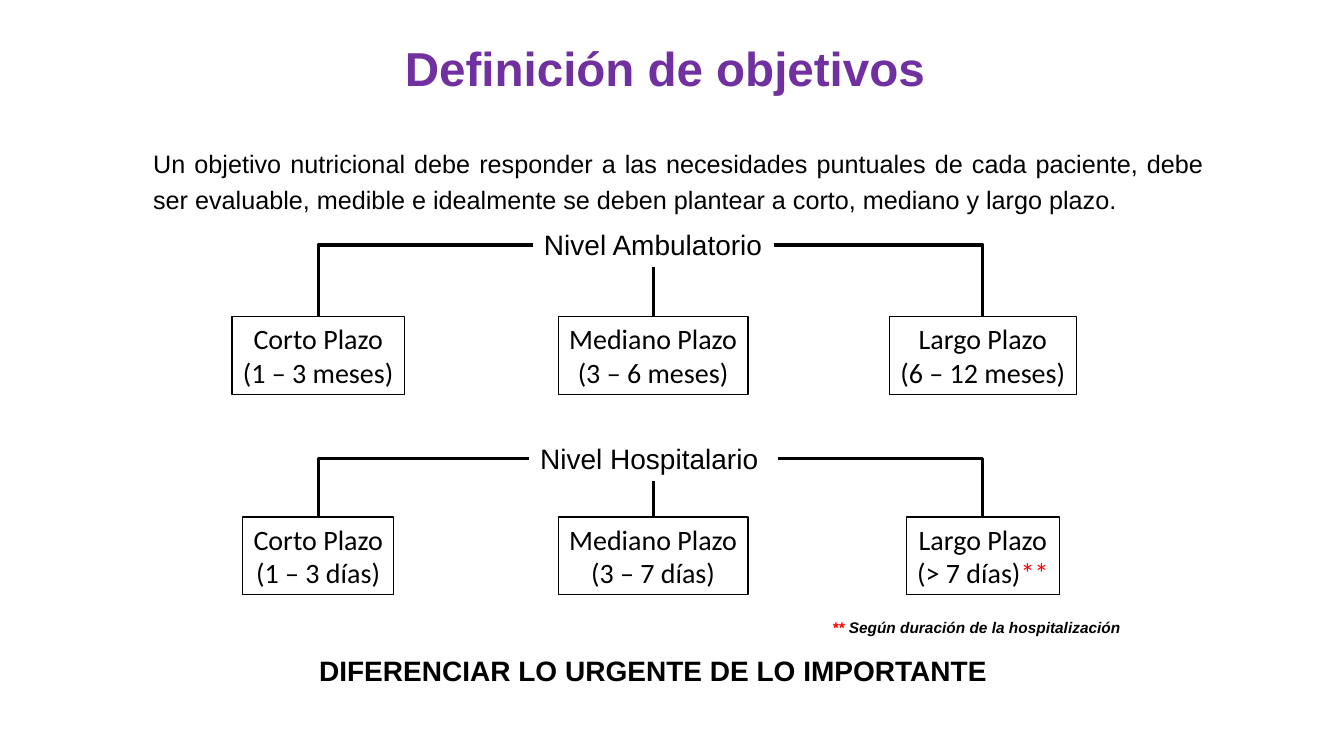
from dataclasses import dataclass

from lxml.etree import SubElement
from pptx import Presentation
from pptx.dml.color import RGBColor
from pptx.enum.shapes import MSO_CONNECTOR, MSO_SHAPE
from pptx.enum.text import MSO_ANCHOR, PP_ALIGN
from pptx.oxml.ns import qn
from pptx.util import Cm, Pt


@dataclass(frozen=True)
class Theme:
    black: RGBColor = RGBColor(0, 0, 0)
    white: RGBColor = RGBColor(255, 255, 255)
    red: RGBColor = RGBColor(255, 0, 0)
    purple: RGBColor = RGBColor(0x70, 0x30, 0xA0)
    head: str = "Arial"
    body: str = "Calibri"
    title: int = 34
    intro: int = 18
    text: int = 20
    note: int = 11
    frame: float = 1
    link: float = 2.25


THEME = Theme()
CENTERS = (8.02, 16.46, 24.77)
MIDDLE = CENTERS[1]
LABEL_H = 1.11
BOX_H = 1.96

# label, its top and width, top of the boxes, then (width, term, span, mark) of each box
LEVELS = (
    ("Nivel Ambulatorio", 5.62, 6.07, 7.98, (
        (4.34, "Corto Plazo", "(1 – 3 meses)", ""),
        (4.78, "Mediano Plazo", "(3 – 6 meses)", ""),
        (4.72, "Largo Plazo", "(6 – 12 meses)", ""))),
    ("Nivel Hospitalario ", 11, 6.27, 13.03, (
        (3.81, "Corto Plazo", "(1 – 3 días)", ""),
        (4.78, "Mediano Plazo", "(3 – 7 días)", ""),
        (3.86, "Largo Plazo", "(> 7 días)", "**"))),
)


def add_run(para, text, size, face=THEME.head, color=THEME.black, bold=False, slant=False):
    run = para.add_run()
    run.text = text
    font = run.font
    font.name, font.size = face, Pt(size)
    font.bold, font.italic = bold, slant
    font.color.rgb = color


def add_text(slide, left, top, width, height, align, wrap=True):
    """Add a text box and return its first paragraph."""
    box = slide.shapes.add_textbox(Cm(left), Cm(top), Cm(width), Cm(height))
    box.text_frame.word_wrap = wrap
    para = box.text_frame.paragraphs[0]
    para.alignment = align
    return para


def add_rect(slide, left, top, width, height, wrap, edge=None):
    """Add a white rectangle and return its text frame."""
    rect = slide.shapes.add_shape(
        MSO_SHAPE.RECTANGLE, Cm(left), Cm(top), Cm(width), Cm(height))
    rect.shadow.inherit = False
    rect.fill.solid()
    rect.fill.fore_color.rgb = THEME.white
    if edge:
        rect.line.color.rgb = THEME.black
        rect.line.width = Pt(edge)
    else:
        rect.line.fill.background()
    frame = rect.text_frame
    frame.word_wrap = wrap
    frame.vertical_anchor = MSO_ANCHOR.MIDDLE
    return frame


def add_term(slide, center, top, width, term, span, mark):
    frame = add_rect(slide, center - width / 2, top, width, BOX_H, False, THEME.frame)
    first, second = frame.paragraphs[0], frame.add_paragraph()
    first.alignment = second.alignment = PP_ALIGN.CENTER
    add_run(first, term, THEME.text, THEME.body)
    add_run(second, span, THEME.text, THEME.body)
    if mark:
        add_run(second, mark, THEME.text, THEME.body, THEME.red)


def add_link(slide, x1, y1, x2, y2):
    """Join two points, with a single corner unless they are in line."""
    kind = MSO_CONNECTOR.STRAIGHT if x1 == x2 else MSO_CONNECTOR.ELBOW
    link = slide.shapes.add_connector(kind, Cm(x1), Cm(y1), Cm(x2), Cm(y2))
    link.line.color.rgb = THEME.black
    link.line.width = Pt(THEME.link)
    props = link._element.spPr
    if x1 != x2:
        props.find(qn("a:prstGeom")).set("prst", "bentConnector2")
    SubElement(props, qn("a:effectLst"))


def add_level(slide, label, top, width, row, terms):
    para = add_text(slide, MIDDLE - width / 2, top, width, LABEL_H, PP_ALIGN.CENTER, False)
    add_run(para, label, THEME.text)
    for center, term in zip(CENTERS, terms):
        add_term(slide, center, row, *term)
    side = top + LABEL_H / 2
    starts = (
        (MIDDLE - width / 2, side),
        (MIDDLE, top + LABEL_H),
        (MIDDLE + width / 2, side),
    )
    for start, center in zip(starts, CENTERS):
        add_link(slide, *start, center, row)


def set_title(slide, text):
    title = slide.shapes.title
    title.left, title.top, title.width, title.height = Cm(4.06), Cm(1.02), Cm(25.4), Cm(2.77)
    title.text_frame.vertical_anchor = MSO_ANCHOR.TOP
    para = title.text_frame.paragraphs[0]
    para.alignment = PP_ALIGN.CENTER
    para.line_spacing = 0.9
    add_run(para, text, THEME.title, color=THEME.purple, bold=True)


def main():
    deck = Presentation()
    deck.slide_width, deck.slide_height = Cm(33.87), Cm(19.05)
    slide = deck.slides.add_slide(deck.slide_layouts.get_by_name("Title Only"))
    set_title(slide, "Definición de objetivos")

    intro = add_text(slide, 3.61, 3.45, 26.97, 2.01, PP_ALIGN.JUSTIFY)
    intro.line_spacing = 1.2
    add_run(intro, "Un objetivo nutricional debe responder a las necesidades puntuales "
            "de cada paciente, debe ser evaluable, medible e idealmente se deben "
            "plantear a corto, mediano y largo plazo.", THEME.intro)

    for level in LEVELS:
        add_level(slide, *level)

    note = add_text(slide, 20.73, 15.44, 7.82, 0.74, PP_ALIGN.LEFT, False)
    add_run(note, "**", THEME.note, color=THEME.red, bold=True, slant=True)
    add_run(note, " Según duración de la hospitalización", THEME.note, bold=True, slant=True)

    close = add_rect(slide, 3.76, 16.33, 25.4, 1.14, True).paragraphs[0]
    close.alignment = PP_ALIGN.CENTER
    add_run(close, "DIFERENCIAR LO URGENTE DE LO IMPORTANTE", THEME.text, bold=True)

    deck.save("out.pptx")


if __name__ == "__main__":
    main()
